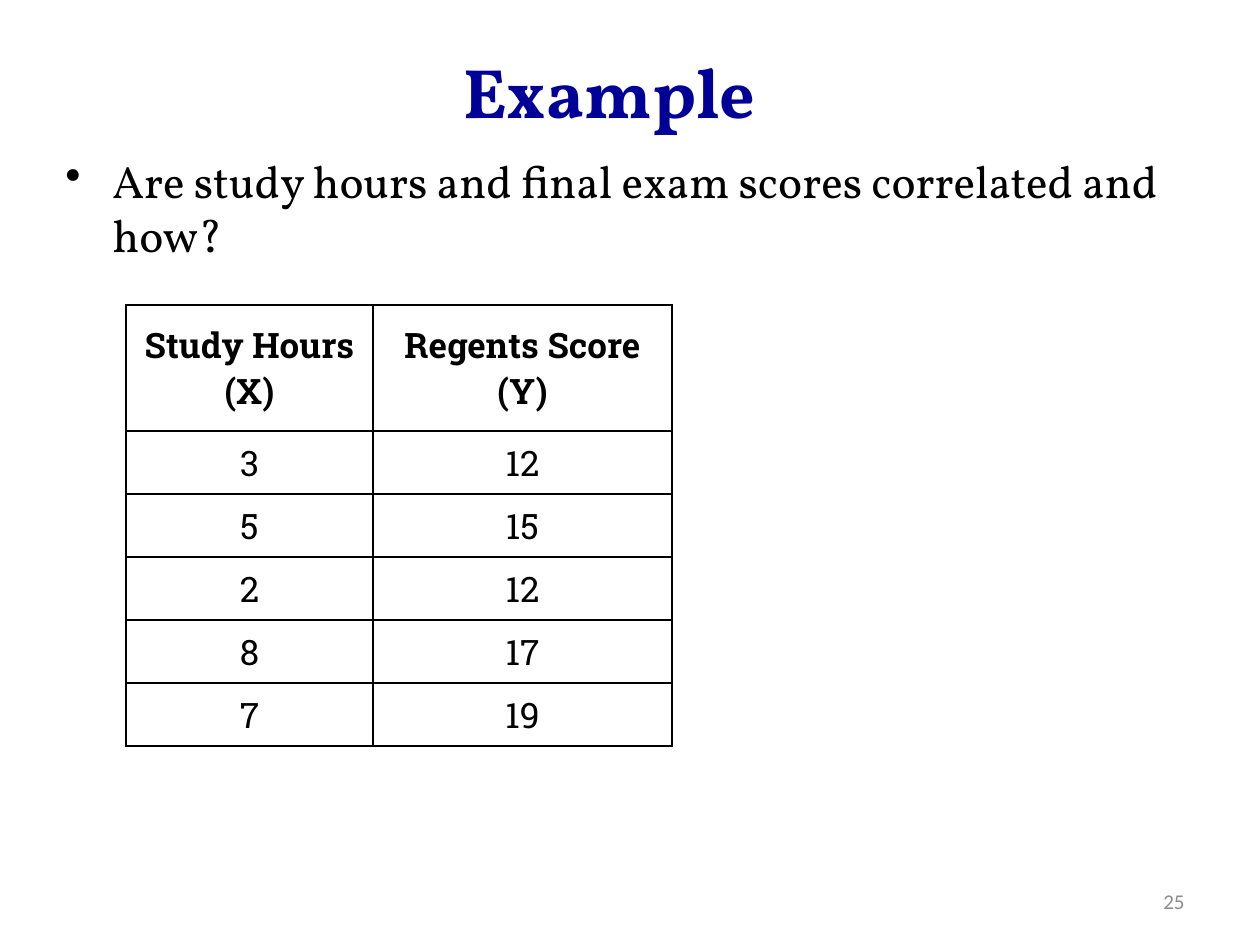
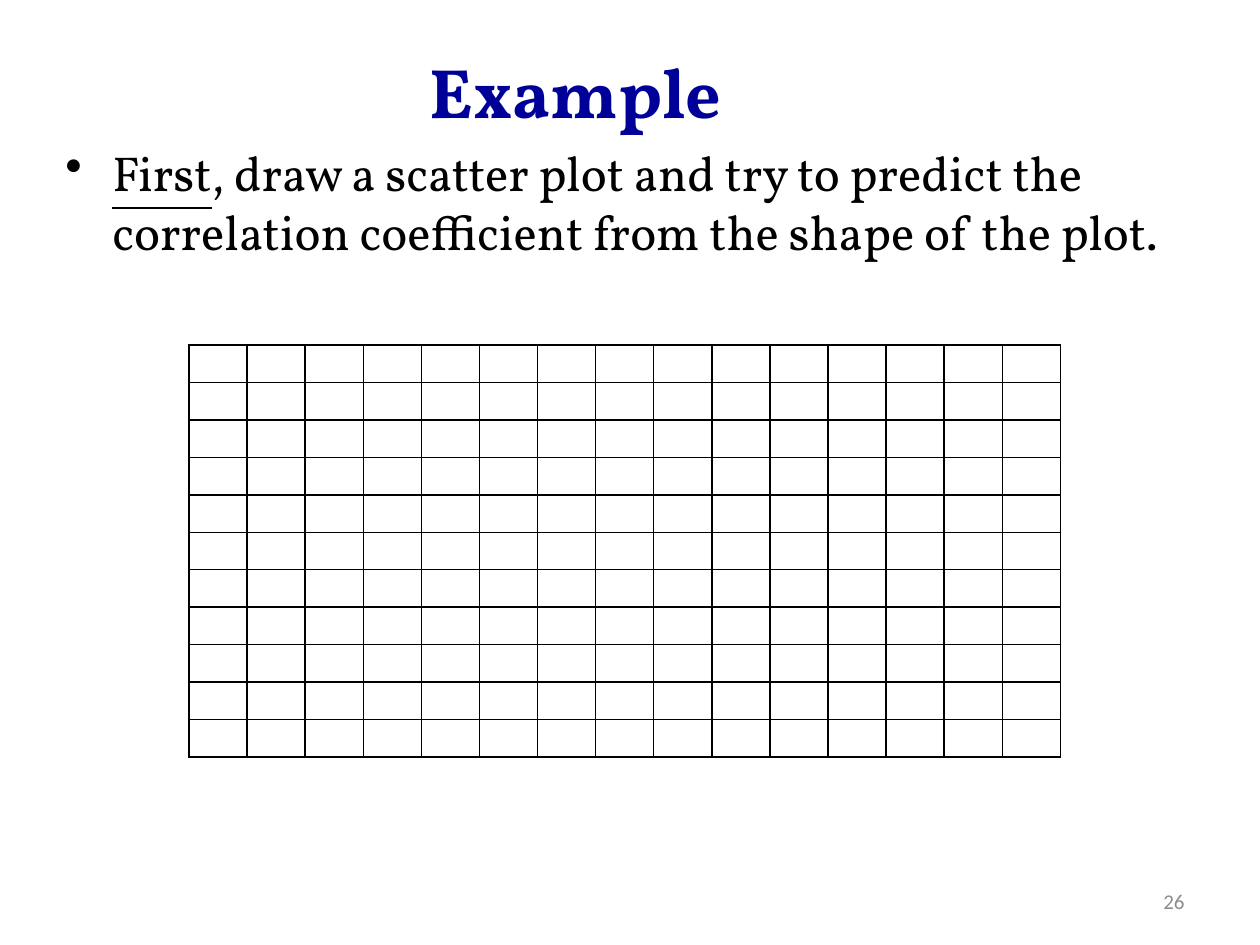
from lxml import etree
from pptx import Presentation
from pptx import util as u
from pptx.dml.color import RGBColor
from pptx.enum import text
from pptx.oxml import ns

BLACK = RGBColor(0x00, 0x00, 0x00)
NAVY = RGBColor(0x00, 0x00, 0x99)
GREY = RGBColor(0x8C, 0x8C, 0x8C)
SERIF, SLAB, SANS = "Vollkorn", "Roboto Slab", "Calibri"
ALIGN, ANCHOR = text.PP_ALIGN, text.MSO_ANCHOR


def px(n):
    return u.Emu(round(n * 914400 / 126))


def sub(parent, tag, **attrs):
    return etree.SubElement(parent, ns.qn(tag), attrs)


class Deck:
    """Holds the presentation, its style and the current slide."""

    def __init__(self):
        self.prs = Presentation()
        self.prs.slide_width, self.prs.slide_height = px(1260), px(945)

    def slide(self, number):
        self.s = self.prs.slides.add_slide(self.prs.slide_layouts[6])
        p = self.box(903, 876, 294, 50, ANCHOR.MIDDLE)
        p.text = str(number)
        self.style(p, SANS, 12, GREY, ALIGN.RIGHT)

    def style(self, p, name, size, color, align=ALIGN.LEFT, bold=False):
        p.alignment = align
        f = p.font
        f.name, f.size, f.bold = name, u.Pt(size), bold
        f.color.rgb = color

    def box(self, x, y, w, h, anchor=ANCHOR.TOP):
        tf = self.s.shapes.add_textbox(px(x), px(y), px(w), px(h)).text_frame
        tf.word_wrap = True
        tf.vertical_anchor = anchor
        return tf.paragraphs[0]

    def title(self, words, x):
        p = self.box(x, 42, 1155, 97)
        p.text = words
        self.style(p, SERIF, 40, NAVY, ALIGN.CENTER, True)

    def bullet(self, y, h, size, words, underlined=""):
        p = self.box(53, y, 1144, h)
        if underlined:
            r = p.add_run()
            r.text = underlined
            r.font.underline = True
        p.add_run().text = words
        self.style(p, SERIF, size, BLACK)
        pPr = p._p.get_or_add_pPr()
        pPr.set("marL", str(px(47)))
        pPr.set("indent", str(-px(47)))
        bullet = etree.Element(ns.qn("a:buChar"), char="•")
        pPr.find(ns.qn("a:defRPr")).addprevious(bullet)

    def table(self, x, y, widths, heights, rows=()):
        frame = self.s.shapes.add_table(len(heights), len(widths), px(x), px(y),
                                        px(sum(widths)), px(sum(heights)))
        table = frame.table
        table.first_row = table.horz_banding = False
        for column, w in zip(table.columns, widths):
            column.width = px(w)
        for row, h in zip(table.rows, heights):
            row.height = px(h)
        for cell in table.iter_cells():
            self.cell(cell)
        for i, values in enumerate(rows):
            for j, value in enumerate(values):
                p = table.cell(i, j).text_frame.paragraphs[0]
                p.text = value
                self.style(p, SLAB, 20, BLACK, ALIGN.CENTER, i == 0)

    def cell(self, cell):
        cell.margin_left = cell.margin_right = px(9)
        cell.margin_top = cell.margin_bottom = 0
        cell.vertical_anchor = ANCHOR.MIDDLE
        tcPr = cell._tc.get_or_add_tcPr()
        for side in "LRTB":
            ln = sub(tcPr, "a:ln" + side, w=str(u.Pt(1)))
            sub(sub(ln, "a:solidFill"), "a:srgbClr", val=str(BLACK))
        cell.fill.background()
        p = cell.text_frame.paragraphs[0]
        p._p.get_or_add_endParaRPr().set("sz", "1000")


deck = Deck()

deck.slide(25)
deck.bullet(147, 116, 25.9,
            "Are study hours and final exam scores correlated and how?")
deck.title("Example", 32)
scores = [("Study Hours (X)", "Regents Score (Y)"), ("3", "12"), ("5", "15"),
          ("2", "12"), ("8", "17"), ("7", "19")]
deck.table(126, 305, [247, 299], [126] + [63] * 5, scores)

deck.slide(26)
deck.bullet(136, 179, 28, ", draw a scatter plot and try to predict the "
            "correlation coefficient from the shape of the plot.", "First")
deck.title("Example", -2)
deck.table(189, 345, [872 / 15] * 15, [412 / 11] * 11)

deck.prs.save("out.pptx")
